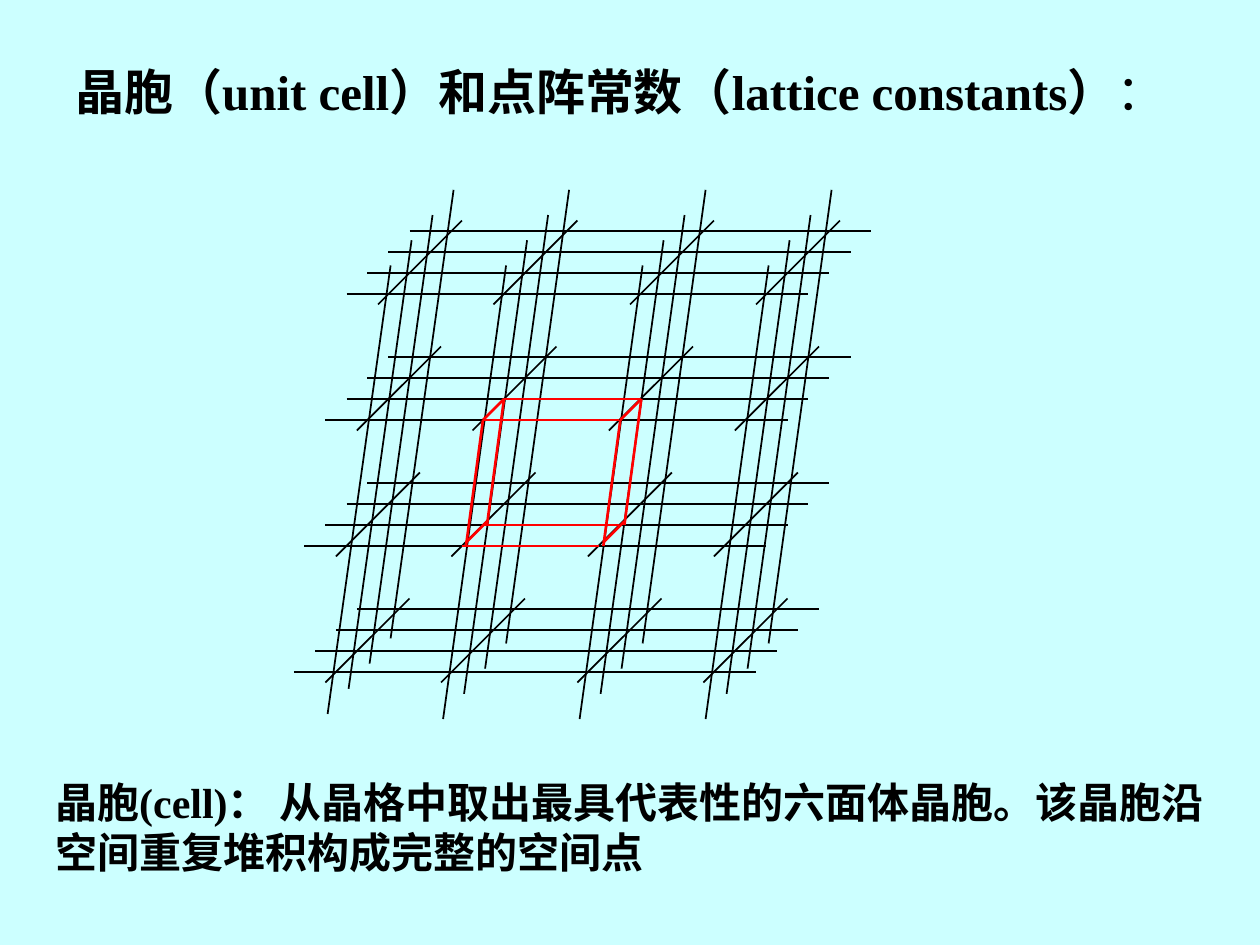
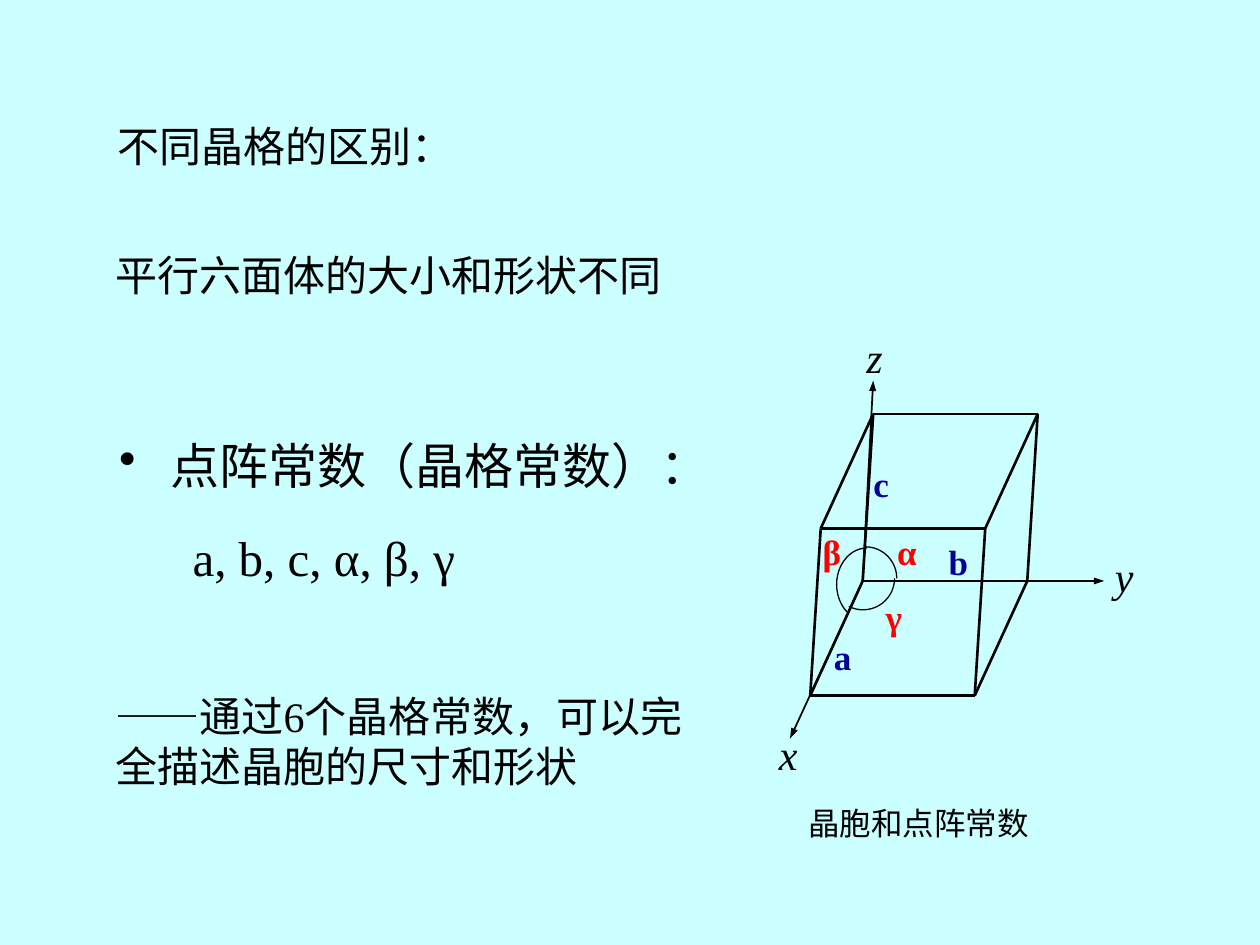
from dataclasses import dataclass
from itertools import product

from lxml.etree import SubElement as Sub
from pptx import Presentation as Deck
from pptx.dml.color import RGBColor as Rgb
from pptx.enum.lang import MSO_LANGUAGE_ID as Lang
from pptx.enum.shapes import MSO_CONNECTOR as Link, MSO_SHAPE as Form
from pptx.enum.text import MSO_AUTO_SIZE as Fit, PP_ALIGN as Align
from pptx.oxml.ns import qn
from pptx.util import Pt


@dataclass(frozen=True)
class Theme:
    font: str = "Times New Roman"
    back: Rgb = Rgb(0xCC, 0xFF, 0xFF)
    ink: Rgb = Rgb(0, 0, 0)
    red: Rgb = Rgb(0xFF, 0, 0)
    blue: Rgb = Rgb(0, 0, 0x99)
    head: int = 28
    body: int = 24
    mark: int = 20
    note: int = 18


look = Theme()


def text(slide, box, words, size=look.body, color=look.ink, bold=False,
         italic=False, wrap=True, align=Align.LEFT, space=1.0, before=0,
         inset=(0,), bullet=None):
    """A newline starts a paragraph; a bar switches bold over."""
    frame = slide.shapes.add_textbox(*map(Pt, box)).text_frame
    frame.word_wrap = wrap
    frame.auto_size = Fit.NONE if wrap else Fit.SHAPE_TO_FIT_TEXT
    for i, line in enumerate(words.split("\n")):
        para = frame.paragraphs[0] if i == 0 else frame.add_paragraph()
        para.alignment, para.line_spacing = align, space
        para.space_before = Pt(before * size)
        props = para._p.get_or_add_pPr()
        props.set("marL", str(Pt(inset[i])))
        if bullet and i == 0:
            props.set("indent", str(-Pt(inset[i])))
            Sub(props, qn("a:buChar")).set("char", bullet)
        for j, part in enumerate(line.split("|")):
            run = para.add_run()
            run.text = part
            font = run.font
            font.name, font.size, font.italic = look.font, Pt(size), italic
            font.bold = bold != (j % 2 == 1)
            font.color.rgb = color
            font.language_id = Lang.SIMPLIFIED_CHINESE


def rule(slide, x, y, dx, dy, width=1, color=look.ink, arrow=False):
    """A line from x, y that runs on by dx, dy."""
    line = slide.shapes.add_connector(
        Link.STRAIGHT, Pt(x), Pt(y), Pt(x + dx), Pt(y + dy))
    line.line.color.rgb, line.line.width = color, Pt(width)
    props = line._element.spPr
    if arrow:
        tip = Sub(props.find(qn("a:ln")), qn("a:tailEnd"))
        for key, value in (("type", "triangle"), ("w", "sm"), ("len", "med")):
            tip.set(key, value)
    Sub(props, qn("a:effectLst"))


deck = Deck()
deck.slide_width, deck.slide_height = Pt(720), Pt(540)
fill = deck.slide_master.background.fill
fill.solid()
fill.fore_color.rgb = look.back
blank = deck.slide_layouts[6]

# Slide 1: lattice and unit cell
page = deck.slides.add_slide(blank)
text(page, (36, 18, 641, 55),
     "晶胞（unit cell）和点阵常数（lattice constants）|：",
     size=look.head, bold=True, wrap=False, space=1.4, before=0.2)
text(page, (24.5, 440, 682, 65.5),
     "晶胞(cell)： 从晶格中取出最具代表性的六面体晶胞。"
     "该晶胞沿空间重复堆积构成完整的空间点", bold=True)

step = 12
shifts = (0, -12, -24, -30)
cols = (264, 330, 408, 480)

# Lattice lines across
for (row, shift), deep in product(enumerate(shifts), range(4)):
    rule(page, 234 + shift - step * deep, 132 + 72 * row + step * deep, 264, 0)

# Lattice lines in depth
for (row, shift), col in product(enumerate(shifts), cols):
    rule(page, col + shift, 126 + 72 * row, -48, 48)

# Lattice lines upright
for col, deep in product(cols, range(4)):
    tall = 256.3 if col == cols[0] else 259.2
    rule(page, col - 4.8 - step * deep, 108.5 + 14.4 * deep, -36, tall)

# Red cell
pen = dict(width=1.5, color=look.red)
for deep in (0, step):
    for x, y in ((288, 228), (276, 300)):
        rule(page, x - deep, y + deep, 78, 0, **pen)
    for x in (288, 366.5):
        rule(page, x - deep, 228 + deep, -9.7, 72, **pen)
for x in (288, 366.5):
    for dx, y in ((0, 228), (-9.7, 298)):
        rule(page, x + dx, y, -step, step, **pen)

# Slide 2: lattice constants
page = deck.slides.add_slide(blank)
airy = dict(space=1.4, before=0.2)
text(page, (54, 54, 214.5, 48), "不同晶格的区别：", wrap=False,
     inset=(6,), **airy)
text(page, (59, 127.5, 438, 84), "平行六面体的大小和形状不同", **airy)
text(page, (61, 232, 344, 120), "点阵常数（晶格常数）：\na, b, c, α, β, γ",
     size=look.head, inset=(29.5, 42), bullet="•", **airy)
text(page, (59, 391, 357, 65.5),
     "——通过6个晶格常数，可以完全描述晶胞的尺寸和形状")
text(page, (444, 456, 162, 29), "晶胞和点阵常数", size=look.note,
     align=Align.CENTER, before=0.5)

# Cell edges: each edge vector from every corner the other two span
ox, oy = 493, 332
edges = ((-30, 65.5), (94, 0), (6, -95.5))
for i, (dx, dy) in enumerate(edges):
    (px, py), (qx, qy) = edges[:i] + edges[i + 1:]
    for m, n in product((0, 1), repeat=2):
        rule(page, ox + m * px + n * qx, oy + m * py + n * qy, dx, dy, 1.5)

# Axes
for dx, dy in ((138, 0), (-41.5, 90), (6, -114.5)):
    rule(page, ox, oy, dx, dy, arrow=True)

# Angle arcs: centre, radii, first and last angle
for cx, cy, rx, ry, first, last in ((494.5, 330.5, 18, 18, 270, 0),
                                    (493.2, 330.5, 18, 18, 0, 117),
                                    (495.4, 334, 17.3, 20.8, 122, 270)):
    arc = page.shapes.add_shape(
        Form.ARC, Pt(cx - rx), Pt(cy - ry), Pt(2 * rx), Pt(2 * ry))
    arc.adjustments[0], arc.adjustments[1] = first * 0.6, last * 0.6
    arc.shadow.inherit = False
    arc.fill.background()
    arc.line.color.rgb, arc.line.width = look.ink, Pt(0.75)

# Labels of axes, edges and angles
axis = dict(italic=True)
edge = dict(size=look.mark, color=look.blue, bold=True)
angle = dict(size=look.mark, color=look.red, bold=True)
for name, x, y, wide, form in (
        ("x", 438, 412.5, 25, axis), ("y", 630, 311, 25, axis),
        ("z", 488, 186, 24, axis),
        ("a", 469.5, 359.5, 24.5, edge), ("b", 535, 305.5, 26, edge),
        ("c", 492, 260.5, 23, edge),
        ("α", 505.5, 299.5, 34.5, angle), ("β", 463, 299.5, 34.5, angle),
        ("γ", 499, 336.5, 34.5, angle)):
    text(page, (x, y, wide, 36 if form is axis else 31), name,
         wrap=False, **form)

deck.save("out.pptx")
